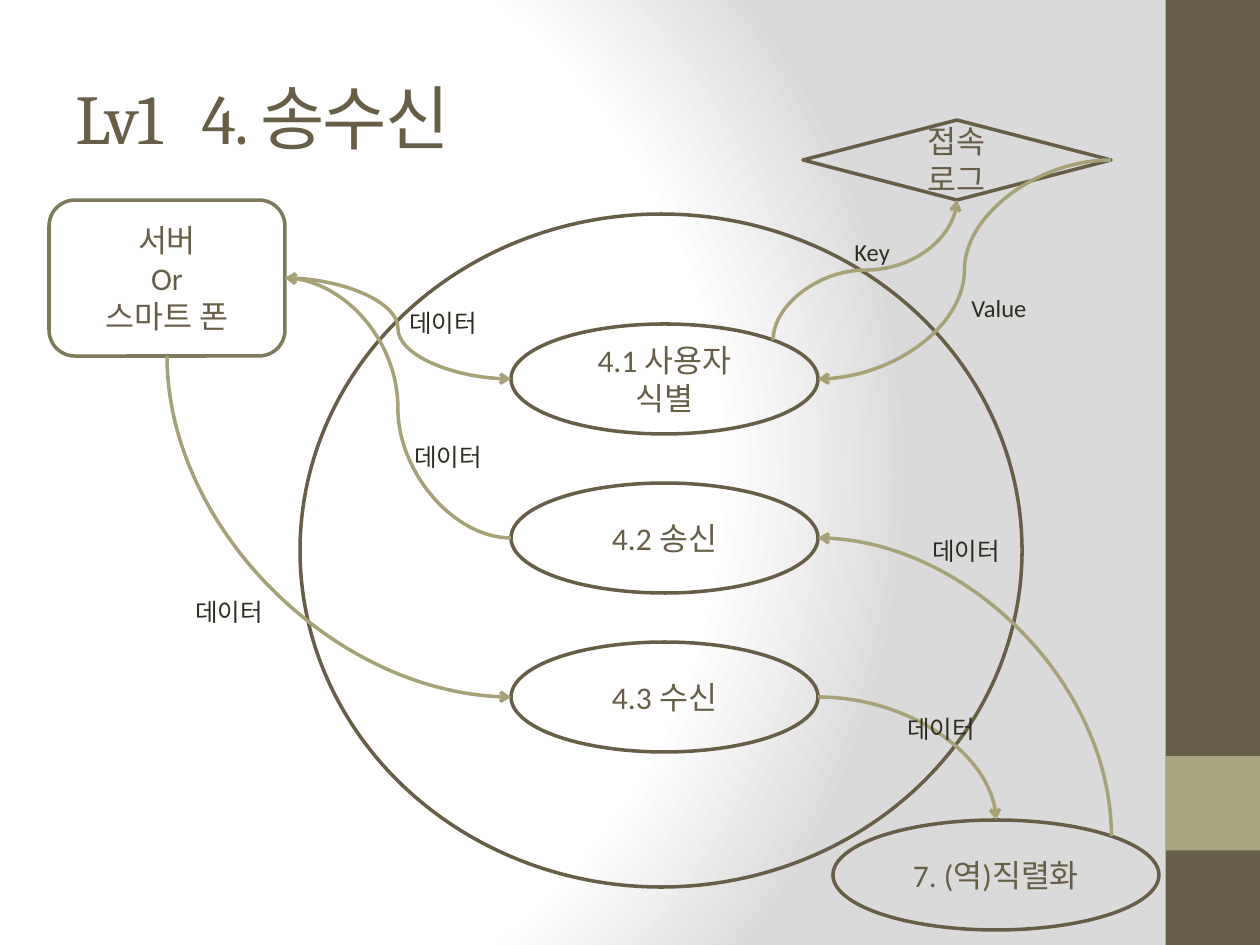
from lxml import etree
from pptx import Presentation
from pptx.dml.color import RGBColor
from pptx.enum.shapes import MSO_CONNECTOR, MSO_SHAPE
from pptx.enum.text import MSO_ANCHOR, PP_ALIGN
from pptx.oxml import parse_xml
from pptx.oxml.ns import nsdecls, qn
from pptx.util import Pt

PX = 914400 // 126 + 1 / 7
COLORS = {
    "dark": "675E47",
    "olive": "A9A57C",
    "server": "7D7A5C",
    "arrow": "A6A278",
    "label": "2F2B20",
    "paper": "FFFFFF",
    "shade": "DADADA",
}


def emu(*pixels):
    return [round(p * PX) for p in pixels]


def rgb(name):
    return RGBColor.from_string(COLORS[name])


def write(shape, lines, size, color, font="Calibri", align=PP_ALIGN.LEFT):
    frame = shape.text_frame
    frame.word_wrap = True
    for i, line in enumerate(lines):
        paragraph = frame.paragraphs[0] if i == 0 else frame.add_paragraph()
        paragraph.alignment = align
        run = paragraph.add_run()
        run.text = line
        run.font.size = Pt(size)
        run.font.name = font
        run.font.color.rgb = rgb(color)
    return frame


def add_text(slide, box, text, size, color, font="Calibri"):
    return write(slide.shapes.add_textbox(*emu(*box)), [text], size, color, font)


def add_bar(slide, box, color):
    bar = slide.shapes.add_shape(MSO_SHAPE.RECTANGLE, *emu(*box))
    bar.shadow.inherit = False
    bar.fill.solid()
    bar.fill.fore_color.rgb = rgb(color)
    bar.line.fill.background()


def add_node(slide, kind, box, lines=(), outline="dark"):
    node = slide.shapes.add_shape(kind, *emu(*box))
    node.shadow.inherit = False
    node.fill.background()
    node.line.color.rgb = rgb(outline)
    node.line.width = Pt(2)
    write(node, lines, 18, "dark", align=PP_ALIGN.CENTER)
    node.text_frame.vertical_anchor = MSO_ANCHOR.MIDDLE


def point_on(box, fx, fy):
    x, y, w, h = box
    return x + w * fx, y + h * fy


def add_curve(slide, start, end, bends=3, upright=False, ends=("tailEnd",)):
    (x1, y1), (x2, y2) = start, end
    if upright:
        cx, cy = (x1 + x2) / 2, (y1 + y2) / 2
        dx, dy = (y1 - y2) / 2, (x2 - x1) / 2
        x1, y1, x2, y2 = cx - dx, cy - dy, cx + dx, cy + dy
    curve = slide.shapes.add_connector(MSO_CONNECTOR.CURVE, *emu(x1, y1, x2, y2))
    curve.line.color.rgb = rgb("arrow")
    curve.line.width = Pt(2)
    properties = curve._element.spPr
    properties.find(qn("a:prstGeom")).set("prst", f"curvedConnector{bends}")
    if upright:
        properties.find(qn("a:xfrm")).set("rot", "16200000")
    for tag in ends:
        etree.SubElement(properties.find(qn("a:ln")), qn(f"a:{tag}"), type="arrow")
    etree.SubElement(properties, qn("a:effectLst"))


def paint_background(slide):
    stops = "".join(
        f'<a:gs pos="{pos}"><a:srgbClr val="{COLORS[name]}"/></a:gs>'
        for pos, name in ((0, "paper"), (75000, "paper"), (100000, "shade"))
    )
    slide.background.fill.solid()
    fill = slide._element.cSld.find(".//" + qn("a:solidFill"))
    gradient = parse_xml(
        f'<a:gradFill {nsdecls("a")} rotWithShape="1"><a:gsLst>{stops}</a:gsLst>'
        '<a:path path="circle"><a:fillToRect l="20000" t="50000" r="100000" b="50000"/>'
        "</a:path></a:gradFill>"
    )
    fill.getparent().replace(fill, gradient)


def draw_sidebar(slide, box):
    x, y, w, h = box
    add_bar(slide, box, "dark")
    add_bar(slide, (x, y + h * 0.8, w, h * 0.1), "olive")


def draw_title(slide, box, text):
    frame = add_text(slide, box, text, 40, "dark", "Cambria")
    frame.vertical_anchor = MSO_ANCHOR.MIDDLE
    frame.paragraphs[0].runs[0].font._element.set("spc", "-100")


def draw_flow(slide, box):
    left, top, width, height = box

    def place(x, y, w, h):
        return left + x, top + y, w, h

    server = place(0, 80, 236, 156)
    log = place(754, 0, 308, 80)
    serializer = place(width - 326, height - 110, 326, 110)
    identify, send, receive = [place(462, 204 + 159 * i, 307, 110) for i in range(3)]

    oval = MSO_SHAPE.OVAL
    add_node(slide, oval, place(251, 94, 722, 673))
    add_node(slide, MSO_SHAPE.ROUNDED_RECTANGLE, server, ["서버", "Or", "스마트 폰"], "server")
    add_node(slide, oval, serializer, ["7. (역)직렬화"])
    add_node(slide, MSO_SHAPE.DIAMOND, log, ["접속", "로그"])
    add_node(slide, oval, identify, ["4.1 사용자", "식별"])
    add_node(slide, oval, send, ["4.2 송신"])
    add_node(slide, oval, receive, ["4.3 수신"])

    west, east, north, south = (0, 0.5), (1, 0.5), (0.5, 0), (0.5, 1)
    northeast = (0.854, 0.146)
    both = ("headEnd", "tailEnd")
    for source, exit_at, target, entry_at, options in (
        (serializer, northeast, send, east, {"bends": 2, "upright": True}),
        (server, east, identify, west, {"ends": both}),
        (receive, east, serializer, north, {"bends": 2}),
        (server, south, receive, west, {"bends": 2, "upright": True}),
        (send, west, server, east, {}),
        (identify, northeast, log, south, {"upright": True}),
        (log, east, identify, east, {}),
    ):
        add_curve(slide, point_on(source, *exit_at), point_on(target, *entry_at), **options)

    for text, x, y in (
        ("Key", 793, 111),
        ("Value", 910, 167),
        ("데이터", 348, 182),
        ("데이터", 871, 410),
        ("데이터", 846, 588),
        ("데이터", 353, 316),
        ("데이터", 134, 471),
    ):
        add_text(slide, place(x, y, 110, 43), text, 14, "label")


presentation = Presentation()
presentation.slide_width, presentation.slide_height = emu(1260, 945)
slide = presentation.slides.add_slide(presentation.slide_layouts[6])
paint_background(slide)
draw_sidebar(slide, (1165.5, 0, 94.5, 945))
draw_title(slide, (63, 38, 1050, 158), "Lv1   4. 송수신")
draw_flow(slide, (49, 120, 1110, 810))
presentation.save("out.pptx")
